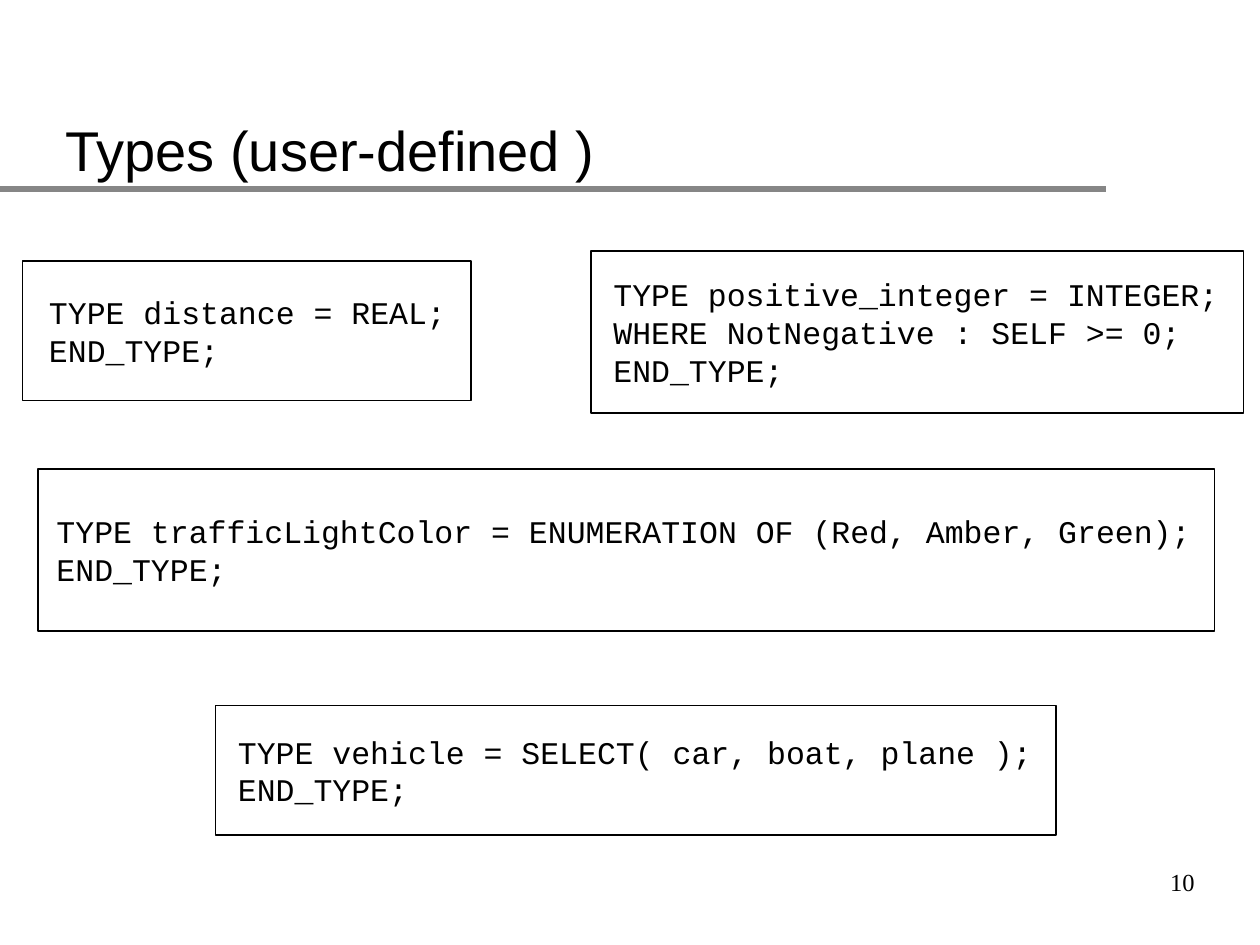
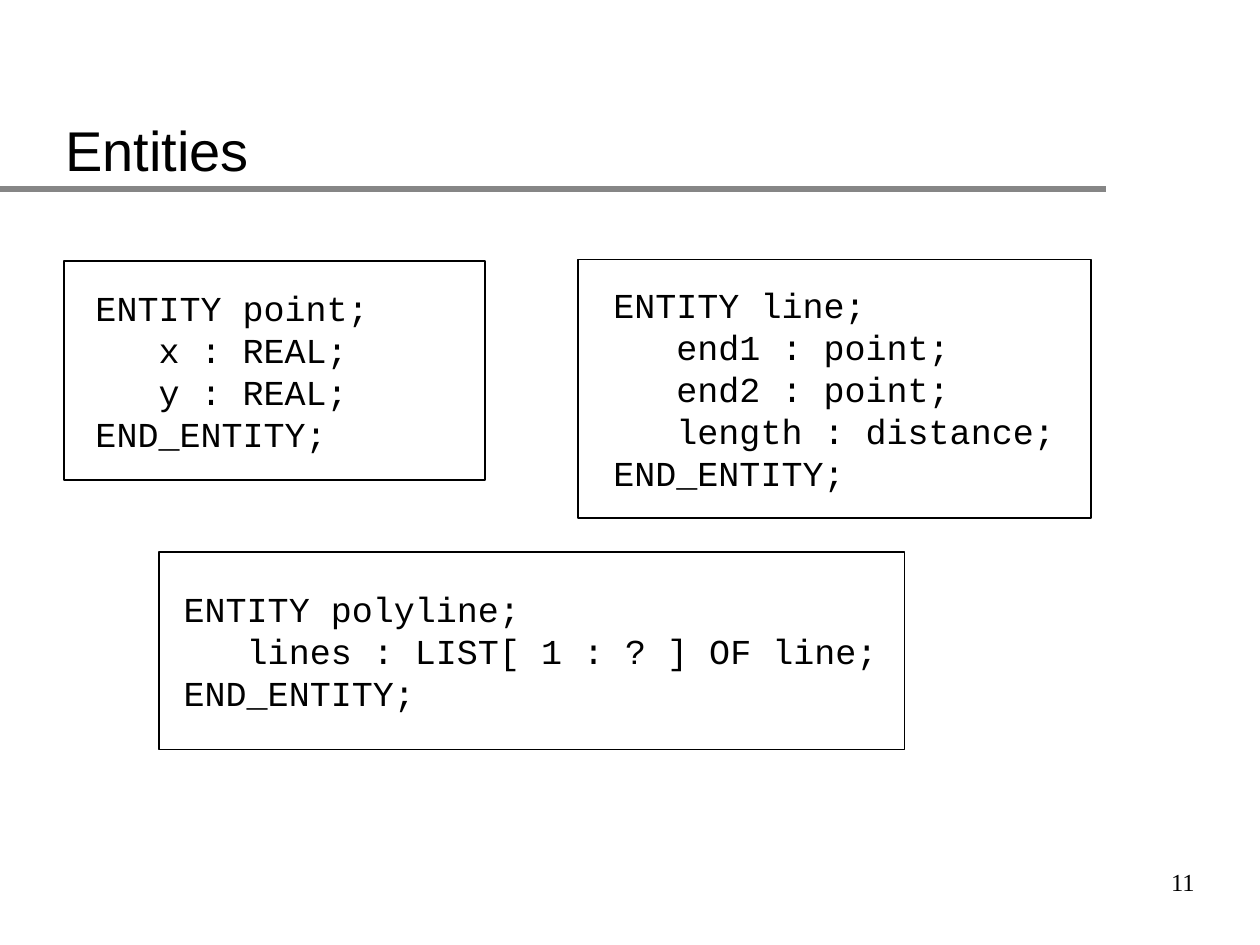
from lxml import etree
from pptx import Presentation
from pptx.dml.color import RGBColor
from pptx.enum.shapes import MSO_CONNECTOR, MSO_SHAPE
from pptx.enum.text import MSO_ANCHOR, MSO_AUTO_SIZE, PP_ALIGN
from pptx.oxml.ns import qn
from pptx.util import Inches, Pt

STRAIGHT = MSO_CONNECTOR.STRAIGHT
RECTANGLE = MSO_SHAPE.RECTANGLE
TOP, MIDDLE, BOTTOM = MSO_ANCHOR.TOP, MSO_ANCHOR.MIDDLE, MSO_ANCHOR.BOTTOM
LEFT, RIGHT = PP_ALIGN.LEFT, PP_ALIGN.RIGHT
FIT_SHAPE = MSO_AUTO_SIZE.SHAPE_TO_FIT_TEXT

BLACK = RGBColor(0x00, 0x00, 0x00)
WHITE = RGBColor(0xFF, 0xFF, 0xFF)
GRAY = RGBColor(0x86, 0x86, 0x86)

TITLE_FONT = {"name": "Arial", "size": Pt(32)}
NUMBER_FONT = {"name": "Times New Roman", "size": Pt(14)}
CODE_FONT_NAME = "Courier New"
MARGIN_X, MARGIN_Y = 0.1, 0.05
WIDTH_SLACK = 0.03  # keeps the longest code line from wrapping

# Each code block: frame (left, top, width, height), left edge of the code, lines
TYPE_BLOCKS = [
    ((4.69, 1.99, 5.18, 1.29), 4.77, [
        "TYPE positive_integer = INTEGER;",
        "WHERE NotNegative : SELF >= 0;",
        "END_TYPE;",
    ]),
    ((0.18, 2.07, 3.56, 1.11), 0.29, [
        "TYPE distance = REAL;",
        "END_TYPE;",
    ]),
    ((0.3, 3.72, 9.34, 1.29), 0.35, [
        "TYPE trafficLightColor = ENUMERATION OF (Red, Amber, Green);",
        "END_TYPE;",
    ]),
    ((1.71, 5.6, 6.67, 1.03), 1.79, [
        "TYPE vehicle = SELECT( car, boat, plane );",
        "END_TYPE;",
    ]),
]
ENTITY_BLOCKS = [
    ((0.51, 2.07, 3.34, 1.74), 0.66, [
        "ENTITY point;",
        "   x : REAL;",
        "   y : REAL;",
        "END_ENTITY;",
    ]),
    ((4.59, 2.06, 4.07, 2.05), 4.77, [
        "ENTITY line;",
        "   end1 : point;",
        "   end2 : point;",
        "   length : distance;",
        "END_ENTITY;",
    ]),
    ((1.26, 4.38, 5.92, 1.57), 1.36, [
        "ENTITY polyline;",
        "   lines : LIST[ 1 : ? ] OF line;",
        "END_ENTITY;",
    ]),
]


class Deck:
    """Holds the presentation, its shared style and the slide being built."""

    def __init__(self):
        self.presentation = Presentation()
        self.presentation.slide_width = Inches(10)
        self.presentation.slide_height = Inches(7.5)
        self.slide = None

    def add_slide(self, title, number):
        blank_layout = self.presentation.slide_layouts[6]
        self.slide = self.presentation.slides.add_slide(blank_layout)
        self.rule((0, 1.5), (8.78, 1.5))
        self.text((7.5, 6.75, 2.08, 0.5), [str(number)], NUMBER_FONT, MIDDLE, RIGHT)
        self.text((0.42, 0.29, 8.5, 1.21), [title], TITLE_FONT, BOTTOM)

    def rule(self, start, end):
        points = [Inches(value) for value in (*start, *end)]
        connector = self.slide.shapes.add_connector(STRAIGHT, *points)
        connector.line.color.rgb = GRAY
        connector.line.width = Pt(4)
        etree.SubElement(connector._element.spPr, qn("a:effectLst"))

    def frame(self, box):
        shape = self.slide.shapes.add_shape(RECTANGLE, *map(Inches, box))
        shape.shadow.inherit = False
        shape.fill.solid()
        shape.fill.fore_color.rgb = WHITE
        shape.line.color.rgb = BLACK
        shape.line.width = Pt(1)

    def text(self, box, lines, font, anchor=TOP, alignment=LEFT, wrap=True):
        shape = self.slide.shapes.add_textbox(*map(Inches, box))
        frame_format = {
            "word_wrap": wrap,
            "vertical_anchor": anchor,
            "margin_left": Inches(MARGIN_X),
            "margin_right": Inches(MARGIN_X),
            "margin_top": Inches(MARGIN_Y),
            "margin_bottom": Inches(MARGIN_Y),
        }
        if not wrap:
            frame_format["auto_size"] = FIT_SHAPE
        text_frame = shape.text_frame
        for name, value in frame_format.items():
            setattr(text_frame, name, value)
        for index, line in enumerate(lines):
            paragraph = text_frame.add_paragraph() if index else text_frame.paragraphs[0]
            paragraph.alignment = alignment
            run = paragraph.add_run()
            run.text = line
            run.font.color.rgb = BLACK
            for name, value in font.items():
                setattr(run.font, name, value)

    def code_block(self, box, code_left, lines, size):
        """Frame the code, sizing its text box by the monospaced character grid."""
        self.frame(box)
        top, height = box[1], box[3]
        character_width = 0.6 * size / 72
        line_height = size / 60
        code_width = max(map(len, lines)) * character_width + 2 * MARGIN_X + WIDTH_SLACK
        code_height = len(lines) * line_height + 2 * MARGIN_Y
        code_top = top + (height - code_height) / 2
        font = {"name": CODE_FONT_NAME, "size": Pt(size)}
        self.text((code_left, code_top, code_width, code_height), lines, font, wrap=False)


def main():
    deck = Deck()
    slides = [
        ("Types (user-defined )", 18, TYPE_BLOCKS),
        ("Entities", 20, ENTITY_BLOCKS),
    ]
    for number, (title, code_size, blocks) in enumerate(slides, start=10):
        deck.add_slide(title, number)
        for box, code_left, lines in blocks:
            deck.code_block(box, code_left, lines, code_size)
    deck.presentation.save("out.pptx")


if __name__ == "__main__":
    main()
